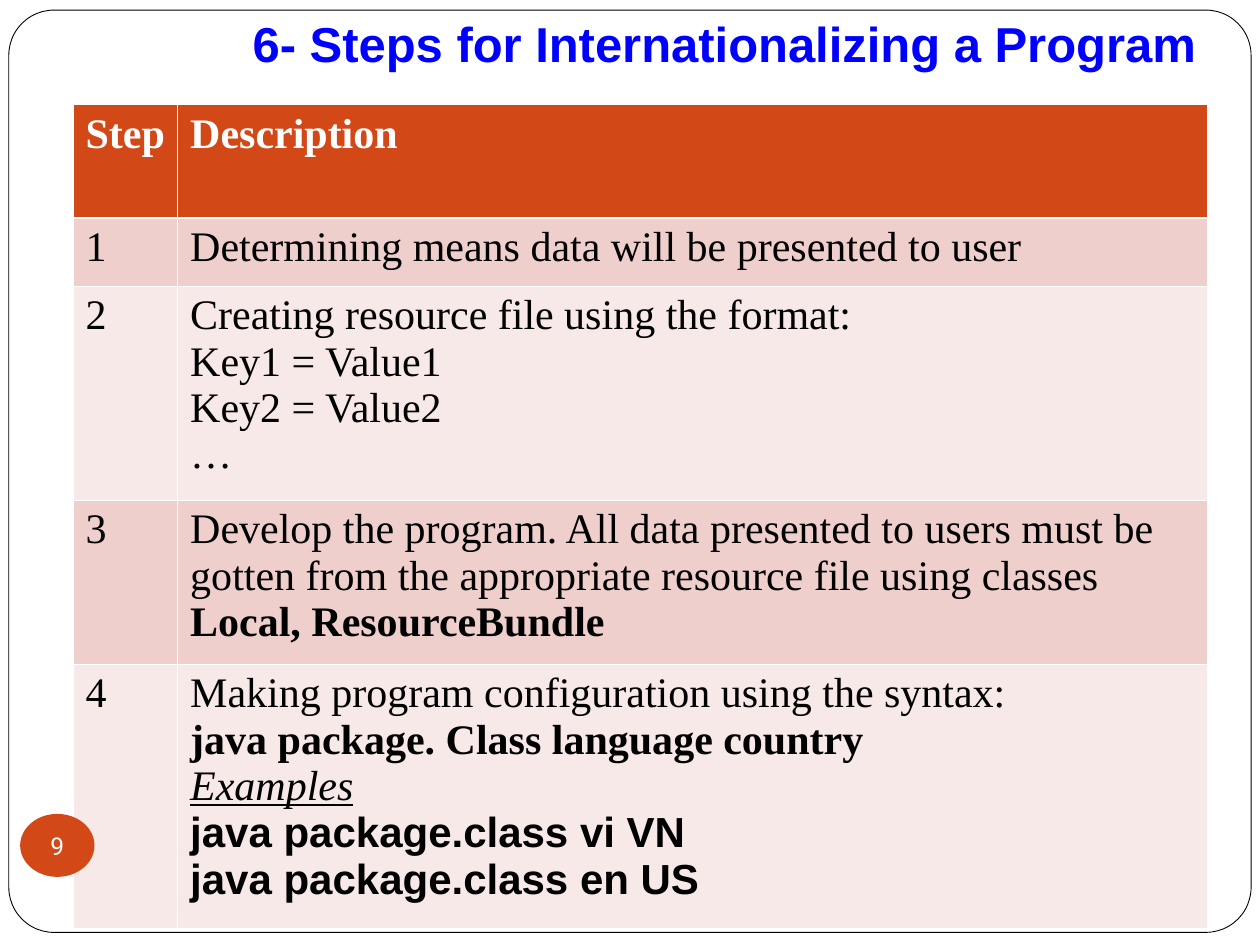
from lxml.etree import SubElement
from pptx import Presentation
from pptx.dml.color import RGBColor
from pptx.enum.shapes import MSO_SHAPE
from pptx.enum.text import MSO_ANCHOR, PP_ALIGN
from pptx.oxml.ns import qn
from pptx.util import Inches, Pt

WHITE = RGBColor(0xFF, 0xFF, 0xFF)
BLACK = RGBColor(0x00, 0x00, 0x00)
BLUE = RGBColor(0x00, 0x00, 0xFF)
ORANGE = RGBColor(0xD3, 0x48, 0x17)
PINK = RGBColor(0xEF, 0xCF, 0xCC)
PALE_PINK = RGBColor(0xF7, 0xE9, 0xE7)

BOLD = {"bold": True}
CODE = {"bold": True, "font": "Arial"}
COLUMN_WIDTHS = (0.83, 8.17)
ROW_HEIGHTS = (0.9, 0.54, 1.7, 1.3, 2.1)
STEPS = [
    [[("Determining means data will be presented to user", {})]],
    [
        [("Creating resource file using the format:", {})],
        [("Key1 = Value1", {})],
        [("Key2 = Value2", {})],
        [("…", {})],
    ],
    [[
        ("Develop the program. All data presented to users must be gotten "
         "from the appropriate resource file using classes ", {}),
        ("Local, ResourceBundle", BOLD),
    ]],
    [
        [("Making program configuration using the syntax:", {})],
        [("java package. Class language country", BOLD)],
        [("Examples", {"italic": True, "underline": True})],
        [("java package.class vi VN", CODE)],
        [("java package.class en US", CODE)],
    ],
]


def add_text(paragraph, text, size=24, font="Times New Roman", color=BLACK,
             bold=False, italic=False, underline=False):
    run = paragraph.add_run()
    run.text = text
    run.font.size = Pt(size)
    run.font.name = font
    run.font.color.rgb = color
    run.font.bold = bold
    run.font.italic = italic
    run.font.underline = underline


def set_borders(cell, top, bottom):
    properties = cell._tc.get_or_add_tcPr()
    for side, width in (("L", 0.45), ("R", 0.45), ("T", top), ("B", bottom)):
        line = SubElement(properties, qn(f"a:ln{side}"), w=str(Pt(width)))
        fill = SubElement(line, qn("a:solidFill"))
        SubElement(fill, qn("a:srgbClr"), val=str(WHITE))


def fill_cell(cell, paragraphs, fill, top=0.45, bottom=0.45):
    set_borders(cell, top, bottom)
    cell.fill.solid()
    cell.fill.fore_color.rgb = fill
    cell.margin_left = cell.margin_right = Inches(0.1)
    cell.margin_top = cell.margin_bottom = Inches(0.05)
    frame = cell.text_frame
    for index, runs in enumerate(paragraphs):
        paragraph = frame.add_paragraph() if index else frame.paragraphs[0]
        for text, style in runs:
            add_text(paragraph, text, **style)


def add_frame(slide, left, top, width, height):
    shape = slide.shapes.add_shape(MSO_SHAPE.ROUNDED_RECTANGLE, left, top, width, height)
    shape.adjustments[0] = 0.049
    shape.shadow.inherit = False
    shape.fill.solid()
    shape.fill.fore_color.rgb = WHITE
    shape.line.color.rgb = BLACK
    shape.line.width = Pt(0.5)


def add_steps_table(slide, left, top, width, height):
    table = slide.shapes.add_table(
        len(ROW_HEIGHTS), len(COLUMN_WIDTHS), left, top, width, height).table
    table.horz_banding = False
    for column, column_width in zip(table.columns, COLUMN_WIDTHS):
        column.width = Inches(column_width)
    for row, row_height in zip(table.rows, ROW_HEIGHTS):
        row.height = Inches(row_height)
    for column, heading in enumerate(("Step", "Description")):
        runs = [(heading, {"color": WHITE, "bold": True})]
        fill_cell(table.cell(0, column), [runs], ORANGE, bottom=1.47)
    for number, description in enumerate(STEPS, start=1):
        fill = PINK if number % 2 else PALE_PINK
        top_border = 1.47 if number == 1 else 0.45
        fill_cell(table.cell(number, 0), [[(str(number), {})]], fill, top=top_border)
        fill_cell(table.cell(number, 1), description, fill, top=top_border)


def add_title(slide, left, top, width, height):
    frame = slide.shapes.add_textbox(left, top, width, height).text_frame
    frame.word_wrap = True
    frame.vertical_anchor = MSO_ANCHOR.BOTTOM
    frame.margin_left = frame.margin_right = frame.margin_bottom = Inches(0.1)
    frame.margin_top = Inches(0.05)
    paragraph = frame.paragraphs[0]
    paragraph.alignment = PP_ALIGN.RIGHT
    add_text(paragraph, "6- Steps for Internationalizing a Program",
             size=28, font="Arial", color=BLUE, bold=True)


def add_page_number(slide, left, top, width, height):
    shape = slide.shapes.add_shape(MSO_SHAPE.OVAL, left, top, width, height)
    shape.shadow.inherit = False
    shape.fill.solid()
    shape.fill.fore_color.rgb = ORANGE
    shape.line.fill.background()
    frame = shape.text_frame
    frame.word_wrap = False
    frame.vertical_anchor = MSO_ANCHOR.MIDDLE
    frame.margin_left = frame.margin_right = frame.margin_top = frame.margin_bottom = 0
    paragraph = frame.paragraphs[0]
    paragraph.alignment = PP_ALIGN.CENTER
    add_text(paragraph, "9", size=14, font="Roboto", color=WHITE)


def main():
    presentation = Presentation()
    presentation.slide_width = Inches(10)
    presentation.slide_height = Inches(7.5)
    slide = presentation.slides.add_slide(presentation.slide_layouts[6])
    add_frame(slide, Inches(0.07), Inches(0.08), Inches(9.86), Inches(7.32))
    add_steps_table(slide, Inches(0.58), Inches(0.83), Inches(9), Inches(6.55))
    add_title(slide, Inches(0.17), Inches(0.05), Inches(9.42), Inches(0.62))
    add_page_number(slide, Inches(0.16), Inches(6.46), Inches(0.59), Inches(0.5))
    presentation.save("out.pptx")


if __name__ == "__main__":
    main()
